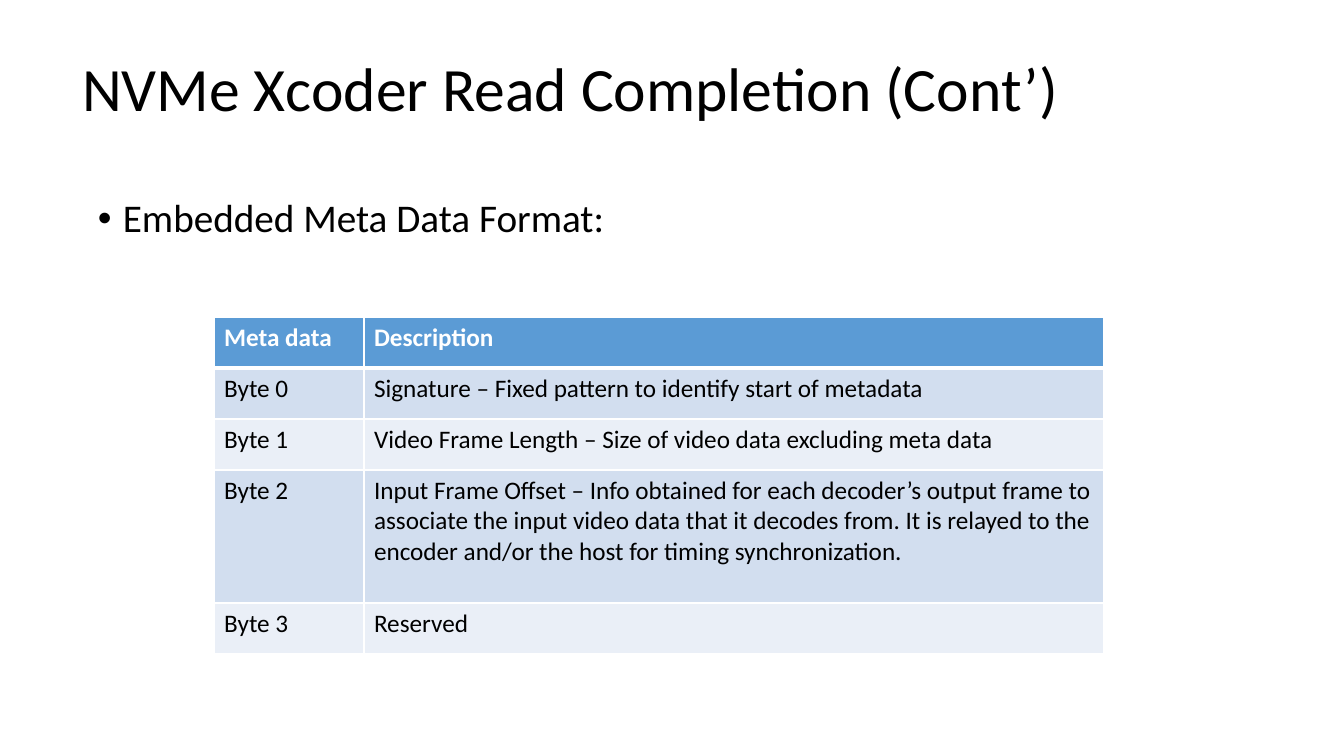
from lxml.etree import SubElement
from pptx import Presentation
from pptx.dml.color import RGBColor
from pptx.enum.text import MSO_ANCHOR, PP_ALIGN
from pptx.oxml.ns import qn
from pptx.util import Emu, Pt

TITLE = "NVMe Xcoder Read Completion (Cont’)"
BULLET = "Embedded Meta Data Format:"
ROWS = [
    ("Meta data", "Description"),
    ("Byte 0", "Signature – Fixed pattern to identify start of metadata"),
    ("Byte 1", "Video Frame Length – Size of video data excluding meta data"),
    ("Byte 2", "Input Frame Offset – Info obtained for each decoder’s output frame to "
               "associate the input video data that it decodes from. It is relayed to the "
               "encoder and/or the host for timing synchronization."),
    ("Byte 3", "Reserved"),
]

SLIDE_SIZE = (1344, 756)
TITLE_BOX = (72, 19, 1159, 146)
BULLET_BOX = (88, 194, 1159, 157)
TABLE_AT = (214, 317)
COL_WIDTHS = (150, 740)
ROW_HEIGHTS = (51, 51, 51, 133, 51)
INDENT = 25

BLACK = RGBColor(0x00, 0x00, 0x00)
WHITE = RGBColor(0xFF, 0xFF, 0xFF)
HEADER_BLUE = RGBColor(0x5B, 0x9B, 0xD5)
BANDS = (RGBColor(0xEA, 0xEF, 0xF7), RGBColor(0xD2, 0xDE, 0xEF))


def px(n):
    return Emu(round(n * 914400 / 100.8))


def place(sp, box):
    for name, value in zip(("left", "top", "width", "height"), box):
        setattr(sp, name, px(value))


def write(tf, text, size, color=BLACK, bold=False):
    p = tf.paragraphs[0]
    r = p.add_run()
    r.text = text
    for name, value in {"name": "Calibri", "size": Pt(size), "bold": bold}.items():
        setattr(r.font, name, value)
    r.font.color.rgb = color
    return p


def add_bullet(p):
    pPr = p._p.get_or_add_pPr()
    pPr.set("marL", str(px(INDENT)))
    pPr.set("indent", str(-px(INDENT)))
    SubElement(pPr, qn("a:buFont"), typeface="Arial")
    SubElement(pPr, qn("a:buChar"), char="•")


def add_borders(cell, top, bottom):
    """Draw white cell borders; top and bottom are widths in points."""
    tcPr = cell._tc.get_or_add_tcPr()
    for side, width in (("L", 1), ("R", 1), ("T", top), ("B", bottom)):
        ln = SubElement(tcPr, qn(f"a:ln{side}"), w=str(Pt(width)))
        fill = SubElement(ln, qn("a:solidFill"))
        SubElement(fill, qn("a:srgbClr"), val=str(WHITE))


def add_meta_table(slide):
    frame = slide.shapes.add_table(
        len(ROWS), len(COL_WIDTHS), *map(px, TABLE_AT),
        px(sum(COL_WIDTHS)), px(sum(ROW_HEIGHTS)))
    table = frame.table
    for col, width in zip(table.columns, COL_WIDTHS):
        col.width = px(width)
    for i, (row, height, texts) in enumerate(zip(table.rows, ROW_HEIGHTS, ROWS)):
        row.height = px(height)
        header = i == 0
        for cell, text in zip(row.cells, texts):
            add_borders(cell, top=3 if i == 1 else 1, bottom=3 if header else 1)
            cell.fill.solid()
            cell.fill.fore_color.rgb = HEADER_BLUE if header else BANDS[i % 2]
            write(cell.text_frame, text, 18, WHITE if header else BLACK, header)


def main():
    prs = Presentation()
    prs.slide_width, prs.slide_height = map(px, SLIDE_SIZE)
    slide = prs.slides.add_slide(prs.slide_layouts[5])

    title = slide.shapes.title
    place(title, TITLE_BOX)
    title.text_frame.vertical_anchor = MSO_ANCHOR.MIDDLE
    p = write(title.text_frame, TITLE, 44)
    p.alignment = PP_ALIGN.LEFT
    p.line_spacing = 0.9

    tf = slide.shapes.add_textbox(*map(px, BULLET_BOX)).text_frame
    tf.word_wrap = True
    p = write(tf, BULLET, 28)
    add_bullet(p)
    p.line_spacing = 0.9

    add_meta_table(slide)
    prs.save("out.pptx")


if __name__ == "__main__":
    main()
